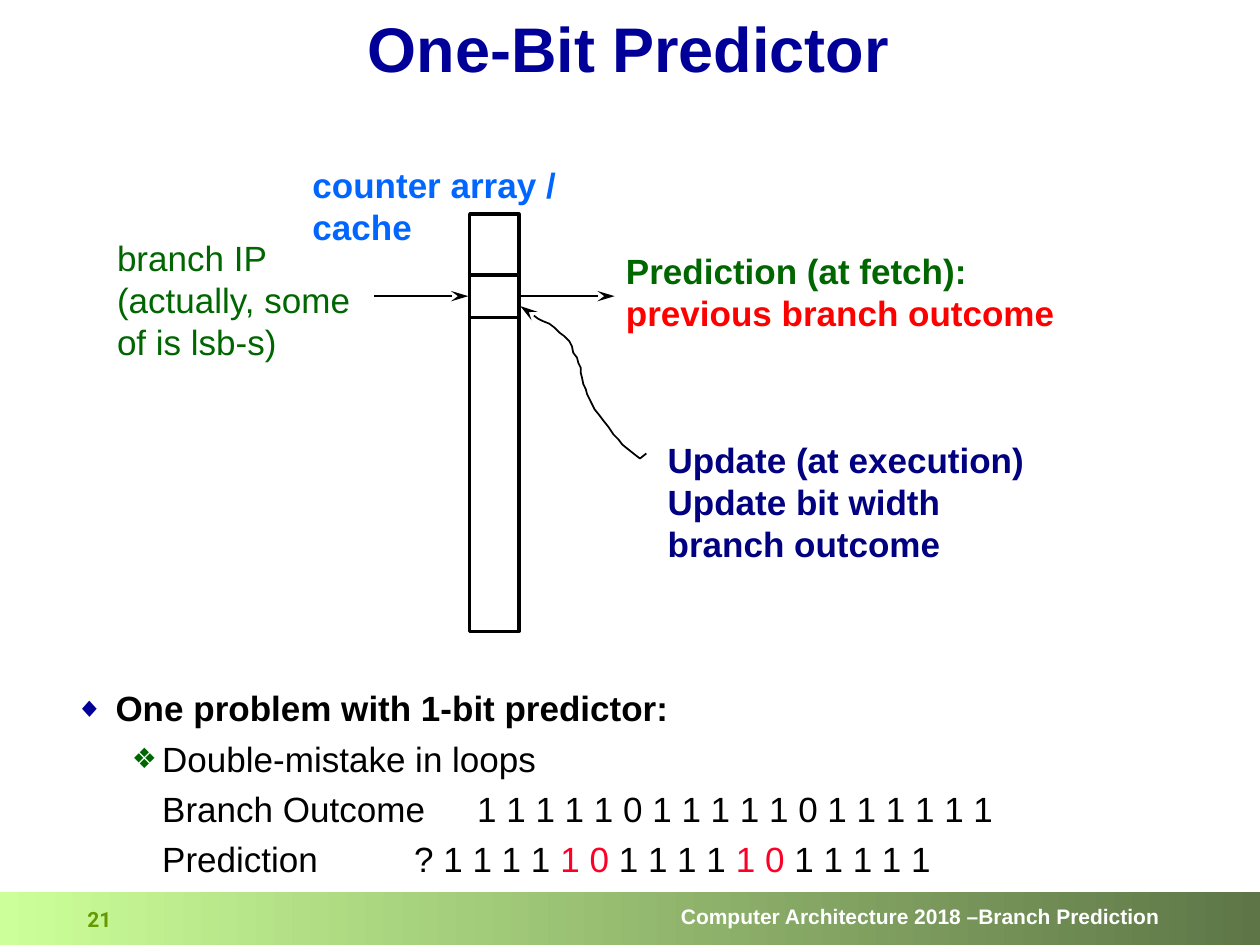
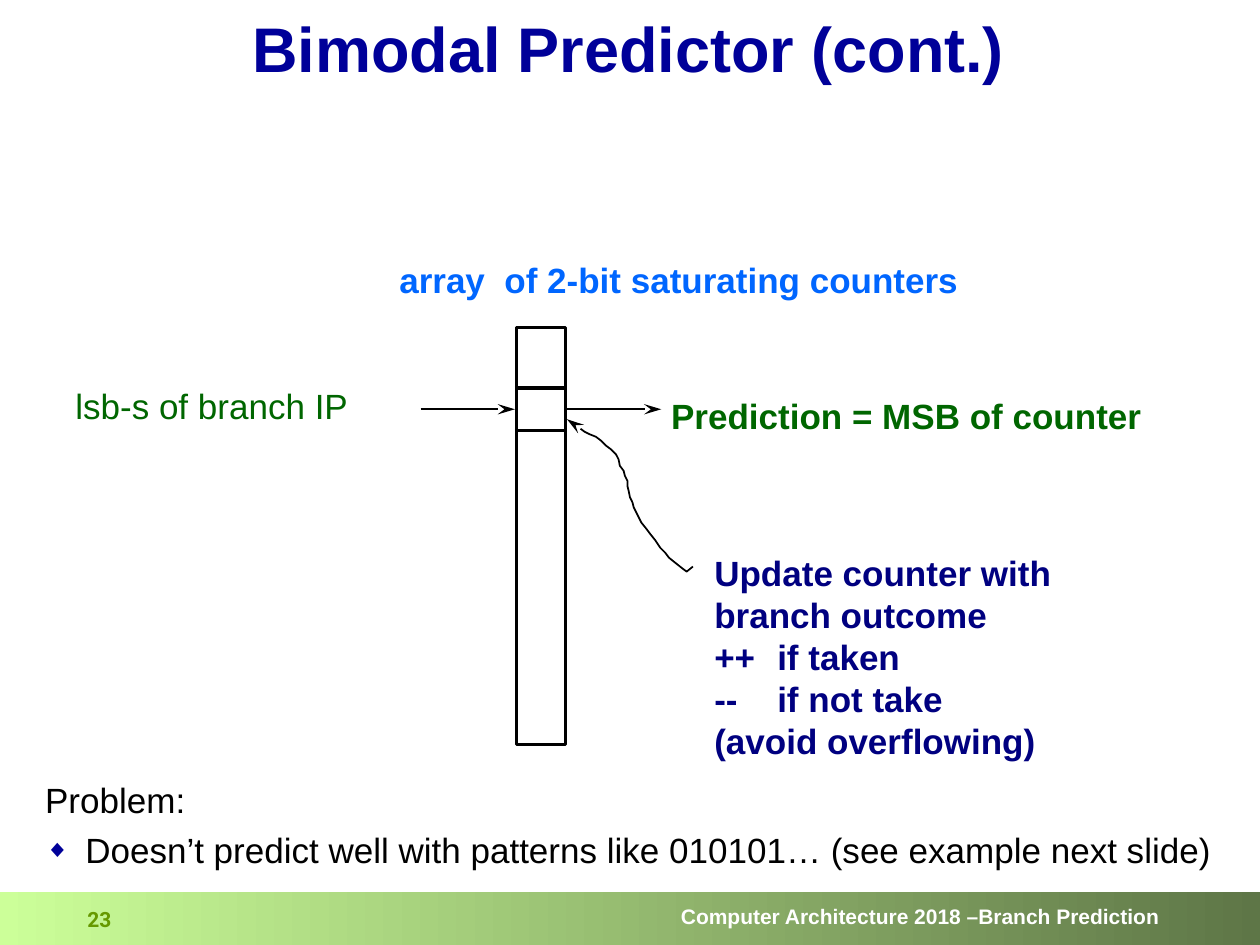
from dataclasses import dataclass

from lxml import etree
from pptx import Presentation
from pptx import util as u
from pptx.dml.color import RGBColor
from pptx.enum import shapes, text
from pptx.oxml import ns

NAVY = "000099"
UPDATE_BLUE = "000080"
LABEL_BLUE = "0066FF"
GREEN = "006600"
NUMBER_GREEN = "669900"
BAND_LEFT = "CCFF99"
BAND_RIGHT = "5E7647"
RED = "FF0000"
MISS_RED = "FC0128"
BLACK = "000000"
WHITE = "FFFFFF"

BAND_TOP, BAND_HEIGHT = 17.98, 1.07
SLIDE_WIDTH, SLIDE_HEIGHT = 25.4, BAND_TOP + BAND_HEIGHT
CELL_EDGES = (1.22, 2.08)
CELL_MIDDLE = sum(CELL_EDGES) / 2
ARRAY_WIDTH, ARRAY_HEIGHT = 0.99, 8.41
EDGE_OVERHANG = 0.03
ARROW_LENGTH = 1.9
CURVE_UNIT = u.Cm(0.0254)
UPDATE_CURVE = (
    (6, 5), (10, 7), (14, 10), (18, 12), (23, 14), (27, 17), (31, 21), (35, 24),
    (39, 28), (41, 32), (42, 37), (45, 41), (46, 45), (48, 49), (48, 53), (49, 57),
    (50, 62), (52, 66), (53, 70), (55, 74), (57, 78), (59, 82), (63, 87), (66, 91),
    (70, 96), (74, 102), (78, 106), (81, 110), (86, 114), (91, 118), (95, 121), (100, 117),
)


@dataclass(frozen=True)
class Span:
    text: str
    color: str = BLACK
    bold: bool = False


@dataclass(frozen=True)
class Bullet:
    character: str
    color: str
    percent: int


@dataclass(frozen=True)
class Line:
    spans: tuple[Span, ...]
    margin: float = 0
    indent: float = 0
    bullet: Bullet | None = None


@dataclass(frozen=True)
class Block:
    left: float
    top: float
    width: float
    height: float
    lines: tuple[Line, ...]
    spacing: float = 1.0
    space_before: float = 0
    size: float = 20
    font: str = "Arial"
    align: text.PP_ALIGN = text.PP_ALIGN.LEFT
    anchor: text.MSO_ANCHOR = text.MSO_ANCHOR.TOP


@dataclass(frozen=True)
class PredictorSlide:
    title: str
    number: str
    array_left: float
    array_top: float
    labels: tuple[Block, ...]


def rgb(value: str) -> RGBColor:
    return RGBColor.from_string(value)


def plain_lines(color: str, bold: bool, *texts: str) -> tuple[Line, ...]:
    return tuple(Line((Span(item, color, bold),)) for item in texts)


def set_bullet(paragraph, line: Line) -> None:
    properties = paragraph._p.get_or_add_pPr()
    properties.set("marL", str(u.Cm(line.margin)))
    properties.set("indent", str(u.Cm(line.indent)))
    if line.bullet is None:
        etree.SubElement(properties, ns.qn("a:buNone"))
        return
    color = etree.SubElement(properties, ns.qn("a:buClr"))
    etree.SubElement(color, ns.qn("a:srgbClr"), val=line.bullet.color)
    etree.SubElement(properties, ns.qn("a:buSzPct"), val=str(line.bullet.percent * 1000))
    etree.SubElement(properties, ns.qn("a:buFont"), typeface="Arial")
    etree.SubElement(properties, ns.qn("a:buChar"), char=line.bullet.character)


def fill_text(text_frame, block: Block) -> None:
    text_frame.word_wrap = True
    text_frame.vertical_anchor = block.anchor
    for index, line in enumerate(block.lines):
        paragraph = text_frame.add_paragraph() if index else text_frame.paragraphs[0]
        paragraph.alignment = block.align
        paragraph.line_spacing = block.spacing
        paragraph.space_before = u.Pt(block.space_before)
        set_bullet(paragraph, line)
        for span in line.spans:
            run = paragraph.add_run()
            run.text = span.text
            run.font.name = block.font
            run.font.size = u.Pt(block.size)
            run.font.bold = span.bold
            run.font.color.rgb = rgb(span.color)


def add_block(slide, block: Block) -> None:
    box = slide.shapes.add_textbox(
        u.Cm(block.left), u.Cm(block.top), u.Cm(block.width), u.Cm(block.height))
    fill_text(box.text_frame, block)


def add_rectangle(slide, left: float, top: float, width: float, height: float):
    shape = slide.shapes.add_shape(
        shapes.MSO_SHAPE.RECTANGLE, u.Cm(left), u.Cm(top), u.Cm(width), u.Cm(height))
    shape.shadow.inherit = False
    return shape


def add_arrowhead(shape, end: str) -> None:
    line = shape.line._get_or_add_ln()
    etree.SubElement(line, ns.qn(f"a:{end}"), type="stealth", w="med", len="lg")


def add_line(slide, start: float, end: float, y: float, width: float, arrow: bool = False) -> None:
    connector = slide.shapes.add_connector(
        shapes.MSO_CONNECTOR.STRAIGHT, u.Cm(start), u.Cm(y), u.Cm(end), u.Cm(y))
    connector.line.color.rgb = rgb(BLACK)
    connector.line.width = u.Pt(width)
    if arrow:
        add_arrowhead(connector, "tailEnd")
    etree.SubElement(connector._element.spPr, ns.qn("a:effectLst"))


def add_update_curve(slide, left: float, top: float) -> None:
    builder = slide.shapes.build_freeform(0, 0, scale=CURVE_UNIT)
    builder.add_line_segments(UPDATE_CURVE, close=False)
    curve = builder.convert_to_shape(u.Cm(left), u.Cm(top))
    curve.shadow.inherit = False
    curve.fill.background()
    curve.line.color.rgb = rgb(BLACK)
    curve.line.width = u.Pt(1)
    add_arrowhead(curve, "headEnd")


def add_counter_array(slide, left: float, top: float) -> None:
    array = add_rectangle(slide, left, top, ARRAY_WIDTH, ARRAY_HEIGHT)
    array.fill.solid()
    array.fill.fore_color.rgb = rgb(WHITE)
    array.line.color.rgb = rgb(BLACK)
    array.line.width = u.Pt(2)
    start = left - EDGE_OVERHANG
    end = left + ARRAY_WIDTH + EDGE_OVERHANG
    for edge in CELL_EDGES:
        add_line(slide, start, end, top + edge, 2)
    for arrow_start in (start - ARROW_LENGTH, end):
        add_line(slide, arrow_start, arrow_start + ARROW_LENGTH, top + CELL_MIDDLE, 1, True)
    add_update_curve(slide, end, top + 1.85)


def add_frame(slide, title: str, number: str) -> None:
    band = add_rectangle(slide, 0, BAND_TOP, SLIDE_WIDTH, BAND_HEIGHT)
    band.line.fill.background()
    band.fill.gradient()
    band.fill.gradient_angle = 0
    for stop, color in zip(band.fill.gradient_stops, (BAND_LEFT, BAND_RIGHT)):
        stop.color.rgb = rgb(color)
    band.text_frame.margin_right = u.Cm(2.02)
    footer = plain_lines(WHITE, True, "Computer Architecture 2018 –Branch Prediction")
    fill_text(band.text_frame, Block(
        0, 0, 0, 0, footer, spacing=0.8, size=12,
        align=text.PP_ALIGN.RIGHT, anchor=text.MSO_ANCHOR.MIDDLE))
    add_block(slide, Block(
        1.27, 18.21, 1.47, 0.71, plain_lines(NUMBER_GREEN, True, number),
        spacing=0.9, size=12, font="Roboto", align=text.PP_ALIGN.CENTER))
    add_block(slide, Block(
        2.41, 0.2, 20.52, 1.7, plain_lines(NAVY, True, title), spacing=0.9, size=36,
        align=text.PP_ALIGN.CENTER, anchor=text.MSO_ANCHOR.MIDDLE))


LOOP_LINES = (
    Line((Span("One problem with 1-bit predictor:", bold=True),), 0.81, -0.81,
         Bullet("◆", NAVY, 80)),
    Line((Span("Double-mistake in loops"),), 1.75, -0.61, Bullet("❖", GREEN, 80)),
    Line((Span("Branch Outcome \t1 1 1 1 1 0 1 1 1 1 1 0 1 1 1 1 1 1"),), 1.75),
    Line((Span("Prediction\t\t? 1 1 1 1 "), Span("1 0", MISS_RED), Span(" 1 1 1 1 "),
          Span("1 0", MISS_RED), Span(" 1 1 1 1 1")), 1.75),
)
PATTERN_LINES = (
    Line((Span("Problem:"),)),
    Line((Span("Doesn’t predict well with patterns like 010101… (see example next slide)"),),
         0.81, -0.81, Bullet("◆", NAVY, 70)),
)

SLIDES = (
    PredictorSlide("One-Bit Predictor", "21", 9.47, 4.32, (
        Block(2.11, 4.65, 5.8, 2.82, plain_lines(
            GREEN, False, "branch IP", "(actually, some", "of is lsb-s)")),
        Block(12.37, 4.9, 10, 1.96,
              plain_lines(GREEN, True, "Prediction (at fetch):")
              + plain_lines(RED, True, "previous branch outcome")),
        Block(6.05, 3.18, 6, 1.96, plain_lines(LABEL_BLUE, True, "counter array / cache")),
        Block(13.21, 8.71, 8.5, 2.82, plain_lines(
            UPDATE_BLUE, True, "Update (at execution)", "Update bit width", "branch outcome")),
        Block(1.27, 13.82, 22.86, 3.76, LOOP_LINES, spacing=0.9, space_before=7),
    )),
    PredictorSlide("Bimodal Predictor (cont.)", "23", 10.41, 6.6, (
        Block(1.27, 7.62, 7, 1.12, plain_lines(GREEN, False, "lsb-s of branch IP")),
        Block(13.28, 7.82, 11, 1.12, plain_lines(GREEN, True, "Prediction = MSB of counter")),
        Block(7.8, 5.08, 12.5, 1.12, plain_lines(
            LABEL_BLUE, True, "array  of 2-bit saturating counters")),
        Block(14.15, 11, 8.5, 4.52, plain_lines(
            UPDATE_BLUE, True, "Update counter with", "branch outcome",
            "++\tif taken", "--\tif not take", "(avoid overflowing)")),
        Block(0.66, 15.67, 24.33, 2.03, PATTERN_LINES, spacing=0.9, space_before=7),
    )),
)


def main() -> None:
    presentation = Presentation()
    presentation.slide_width = u.Cm(SLIDE_WIDTH)
    presentation.slide_height = u.Cm(SLIDE_HEIGHT)
    for content in SLIDES:
        slide = presentation.slides.add_slide(presentation.slide_layouts[6])
        add_frame(slide, content.title, content.number)
        add_counter_array(slide, content.array_left, content.array_top)
        for label in content.labels:
            add_block(slide, label)
    presentation.save("out.pptx")


if __name__ == "__main__":
    main()
